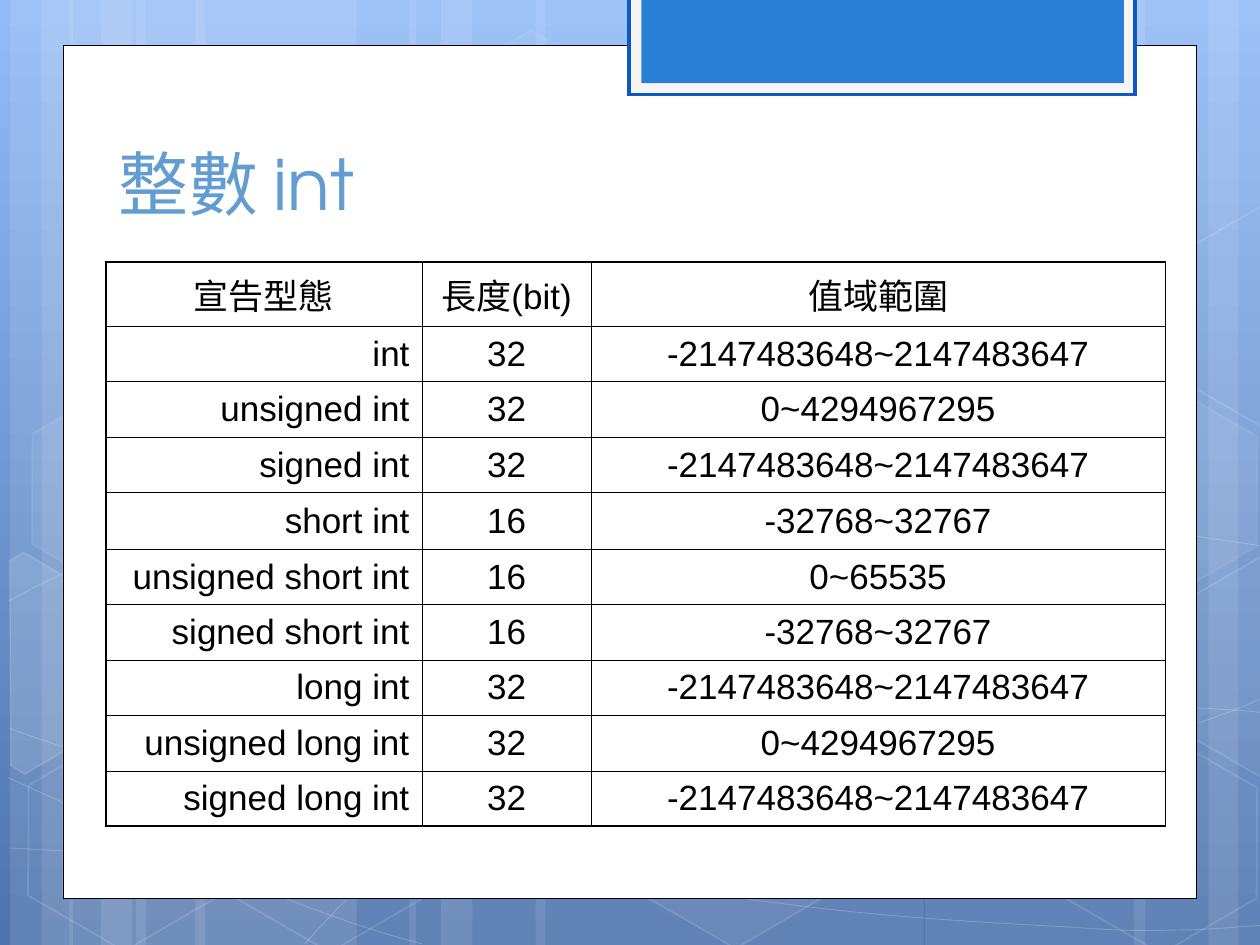
"""Build the slide that lists the integer types with their lengths and ranges."""
from math import cos, radians, sin
from lxml import etree
from pptx import Presentation
from pptx.dml.color import RGBColor
from pptx.enum.shapes import MSO_SHAPE
from pptx.enum.text import MSO_ANCHOR, PP_ALIGN
from pptx.oxml.ns import qn
from pptx.util import Inches, Pt

RECTANGLE, HEXAGON = MSO_SHAPE.RECTANGLE, MSO_SHAPE.HEXAGON
CENTER, RIGHT = PP_ALIGN.CENTER, PP_ALIGN.RIGHT
MIDDLE, BOTTOM = MSO_ANCHOR.MIDDLE, MSO_ANCHOR.BOTTOM
WHITE, BLACK = RGBColor(255, 255, 255), RGBColor(0, 0, 0)
SKY, DUSK = RGBColor(0x93, 0xBB, 0xF6), RGBColor(0x4F, 0x74, 0xAD)
PALE, BLUE, EDGE = RGBColor(0xF5, 0xF5, 0xF5), RGBColor(0x29, 0x7F, 0xD5), RGBColor(0x0E, 0x58, 0xC4)
TITLE_BLUE = RGBColor(0x62, 0x9D, 0xD1)

TITLE = "整數 int"
HEADER = ("宣告型態", "長度(bit)", "值域範圍")
LONG_RANGES = ("-2147483648~2147483647", "0~4294967295", "-2147483648~2147483647")
SHORT_RANGES = ("-32768~32767", "0~65535", "-32768~32767")
FAMILIES = [("int", "32", LONG_RANGES), ("short int", "16", SHORT_RANGES), ("long int", "32", LONG_RANGES)]
PREFIXES = ("", "unsigned ", "signed ")
COLUMN_WIDTHS = (2.51, 1.34, 4.56)
ROW_HEIGHTS = [0.51] + [0.44] * 3 + [0.45] + [0.44] * 5
TILT = 30

STRIPES = [
    (1.08, 1.75), (0.08, 0.5), (0.33, 0.83), (1.55, 1.75), (0.55, 0.5), (0.8, 0.83),
    (7.34, 1.75), (9.59, 0.5), (9, 0.83), (4.25, 3.08), (3.25, 0.5), (3.5, 0.83),
]
CURVES = [
    [(0.07, 6.73), (0.61, 6.76), (1.15, 6.79), (1.9, 6.78), (2.65, 6.77), (3.58, 6.75), (4.58, 6.65),
     (5.58, 6.55), (7, 6.36), (7.92, 6.17), (8.83, 5.98), (9.77, 5.68), (10.07, 5.51)],
    [(0.07, 4.77), (0.36, 4.61), (0.65, 4.46), (1.21, 4.31), (1.78, 4.16), (2.59, 3.94), (3.47, 3.87),
     (4.36, 3.8), (5.44, 3.79), (6.54, 3.87), (7.64, 3.95), (9.47, 4.26), (10.07, 4.34)],
    [(0.06, 6.17), (1.27, 6.72), (2.47, 7.27), (3.35, 7.49)],
    [(0.07, 5.78), (0.38, 5.89), (0.7, 6), (1.28, 6.16), (1.86, 6.31), (2.73, 6.56), (3.57, 6.73),
     (4.4, 6.9), (5.45, 7.08), (6.28, 7.18), (7.11, 7.29), (8, 7.33), (8.53, 7.36),
     (9.06, 7.4), (9.19, 7.38), (9.45, 7.38), (9.71, 7.37), (9.89, 7.35), (10.07, 7.34)],
    [(2.42, 7.49), (2.6, 7.29), (2.78, 7.09), (3.02, 6.91), (3.26, 6.72), (3.6, 6.53), (3.88, 6.39),
     (4.16, 6.25), (4.33, 6.19), (4.69, 6.09), (5.06, 5.99), (5.73, 5.85), (6.08, 5.78),
     (6.44, 5.71), (6.49, 5.71), (6.8, 5.69), (7.11, 5.66), (7.6, 5.63), (7.94, 5.62),
     (8.29, 5.61), (8.86, 5.62), (8.86, 5.62), (9.1, 5.62), (9.3, 5.62), (9.53, 5.62),
     (9.71, 5.63), (9.88, 5.64), (9.97, 5.65), (10.06, 5.66), (10.03, 5.65), (10.06, 5.66)],
]
HEXAGONS = [
    (3.34, 0.36, 4, 8), (4.96, 5.89, 6, 12), (0.11, 5.91, 0, 12), (0.14, 3.12, 7, 8), (1.74, 5.92, 0, 12),
    (7.53, 4.53, 10, 12), (8.34, 5.93, 0, 12), (8.34, 3.14, 7, 8),
]
CUT_HEXAGONS = [
    ((0.36, 5.36), [(0.08, 4.45), (0.19, 4.38), (0.96, 4.83), (0.95, 5.7), (0.2, 6.14), (0.09, 6.07)], 10),
    ((9.85, 5.2), [(9.26, 4.85), (10.02, 4.41), (10.09, 4.46), (10.09, 6.13), (10.02, 6.17), (9.26, 5.73)], 4),
    ((9.85, 2.41), [(9.26, 2.07), (10.02, 1.63), (10.1, 1.68), (10.09, 3.35), (10.02, 3.39), (9.26, 2.95)], 0),
]
PANELS = [
    ((0.5, 0.36, 9, 6.77), WHITE, BLACK, 0.5),
    ((4.99, -0.02, 4.02, 0.77), PALE, EDGE, 2),
    ((5.09, -0.02, 3.83, 0.68), BLUE, None, 0),
]


def paint(shape, fill=None, line=None, width=0, fill_alpha=100, line_alpha=100):
    shape.shadow.inherit = False
    for part, color, alpha in ((shape.fill, fill, fill_alpha), (shape.line.fill, line, line_alpha)):
        if color is None or alpha == 0:
            part.background()
            continue
        part.solid()
        part.fore_color.rgb = color
    properties = shape._element.spPr
    outline = properties.find(qn("a:ln"))
    if line is not None:
        shape.line.width = Pt(width)
        etree.SubElement(outline, qn("a:miter"), lim="800000")
    for holder, alpha in ((properties, fill_alpha), (outline, line_alpha)):
        color = holder.find(qn("a:solidFill") + "/" + qn("a:srgbClr"))
        if color is not None and alpha < 100:
            etree.SubElement(color, qn("a:alpha"), val=str(alpha * 1000))


def add_preset(page, kind, place):
    return page.shapes.add_shape(kind, *(Inches(value) for value in place))


def add_outline(page, points, close):
    corners = [(Inches(x), Inches(y)) for x, y in points]
    builder = page.shapes.build_freeform(*corners[0])
    builder.add_line_segments(corners[1:], close=close)
    return builder.convert_to_shape()


def add_curve(page, controls):
    curve = add_outline(page, controls, False)
    steps = list(curve._element.iter(qn("a:lnTo")))
    for start in range(0, len(steps), 3):
        bend = etree.Element(qn("a:cubicBezTo"))
        steps[start].addprevious(bend)
        for step in steps[start:start + 3]:
            bend.append(step[0])
            step.getparent().remove(step)
    return curve


def turn_back(points, center):
    cosine, sine = cos(radians(TILT)), sin(radians(TILT))
    shifts = [(x - center[0], y - center[1]) for x, y in points]
    return [(center[0] + x * cosine + y * sine, center[1] - x * sine + y * cosine) for x, y in shifts]


def add_backdrop(page):
    fill = page.background.fill
    fill.gradient()
    fill.gradient_angle = 270
    for stop, color, position in zip(fill.gradient_stops, (SKY, DUSK), (0, 1)):
        stop.color.rgb = color
        stop.position = position
    for left, width in STRIPES:
        paint(add_preset(page, RECTANGLE, (left, 0, width, 7.5)), WHITE, fill_alpha=10)
    for controls in CURVES:
        paint(add_curve(page, controls), None, WHITE, 0.5, line_alpha=20)
    for left, top, fill_alpha, line_alpha in HEXAGONS:
        hexagon = add_preset(page, HEXAGON, (left, top, 1.75, 1.52))
        hexagon.adjustments[0] = 0.285
        hexagon.rotation = TILT
        paint(hexagon, WHITE, WHITE, 1, fill_alpha, line_alpha)
    for center, points, fill_alpha in CUT_HEXAGONS:
        hexagon = add_outline(page, turn_back(points, center), True)
        hexagon.rotation = TILT
        paint(hexagon, WHITE, WHITE, 1, fill_alpha, 12)
    for place, fill, line, width in PANELS:
        paint(add_preset(page, RECTANGLE, place), fill, line, width)


def add_title(page):
    box = page.shapes.add_textbox(Inches(0.84), Inches(0.58), Inches(8.42), Inches(1.25))
    box.text_frame.word_wrap = True
    box.text_frame.vertical_anchor = BOTTOM
    para = box.text_frame.paragraphs[0]
    para.text = TITLE
    para.font.size = Pt(40)
    para.font.name = "TeX Gyre Adventor"
    para.font.color.rgb = TITLE_BLUE


def set_borders(cell, outer_sides):
    properties = cell._tc.get_or_add_tcPr()
    for side, outer in zip("LRTB", outer_sides):
        border = etree.SubElement(properties, qn("a:ln" + side), w=str(Pt(1.08 if outer else 0.45)))
        solid = etree.SubElement(border, qn("a:solidFill"))
        etree.SubElement(solid, qn("a:srgbClr"), val=str(BLACK))


def add_type_table(page):
    rows = [HEADER] + [(prefix + name, bits, span) for name, bits, spans in FAMILIES
                       for prefix, span in zip(PREFIXES, spans)]
    last_row, last_column = len(rows) - 1, len(HEADER) - 1
    table = page.shapes.add_table(len(rows), len(HEADER), Inches(0.84), Inches(2.08),
                                  Inches(sum(COLUMN_WIDTHS)), Inches(sum(ROW_HEIGHTS))).table
    table.first_row = table.horz_banding = False
    for column, width in zip(table.columns, COLUMN_WIDTHS):
        column.width = Inches(width)
    for r, texts in enumerate(rows):
        table.rows[r].height = Inches(ROW_HEIGHTS[r])
        for c, text in enumerate(texts):
            cell = table.cell(r, c)
            set_borders(cell, (c == 0, c == last_column, r == 0, r == last_row))
            cell.fill.background()
            cell.vertical_anchor = MIDDLE
            para = cell.text_frame.paragraphs[0]
            para.text = text
            para.alignment = RIGHT if c == 0 and r > 0 else CENTER
            para.space_before = Pt(5)
            para.font.size = Pt(20)
            para.font.name = "Arial"
            para.font.color.rgb = BLACK


def main():
    deck = Presentation()
    deck.slide_width, deck.slide_height = Inches(10), Inches(7.5)
    page = deck.slides.add_slide(deck.slide_layouts[6])
    add_backdrop(page)
    add_title(page)
    add_type_table(page)
    deck.save("out.pptx")


if __name__ == "__main__":
    main()
